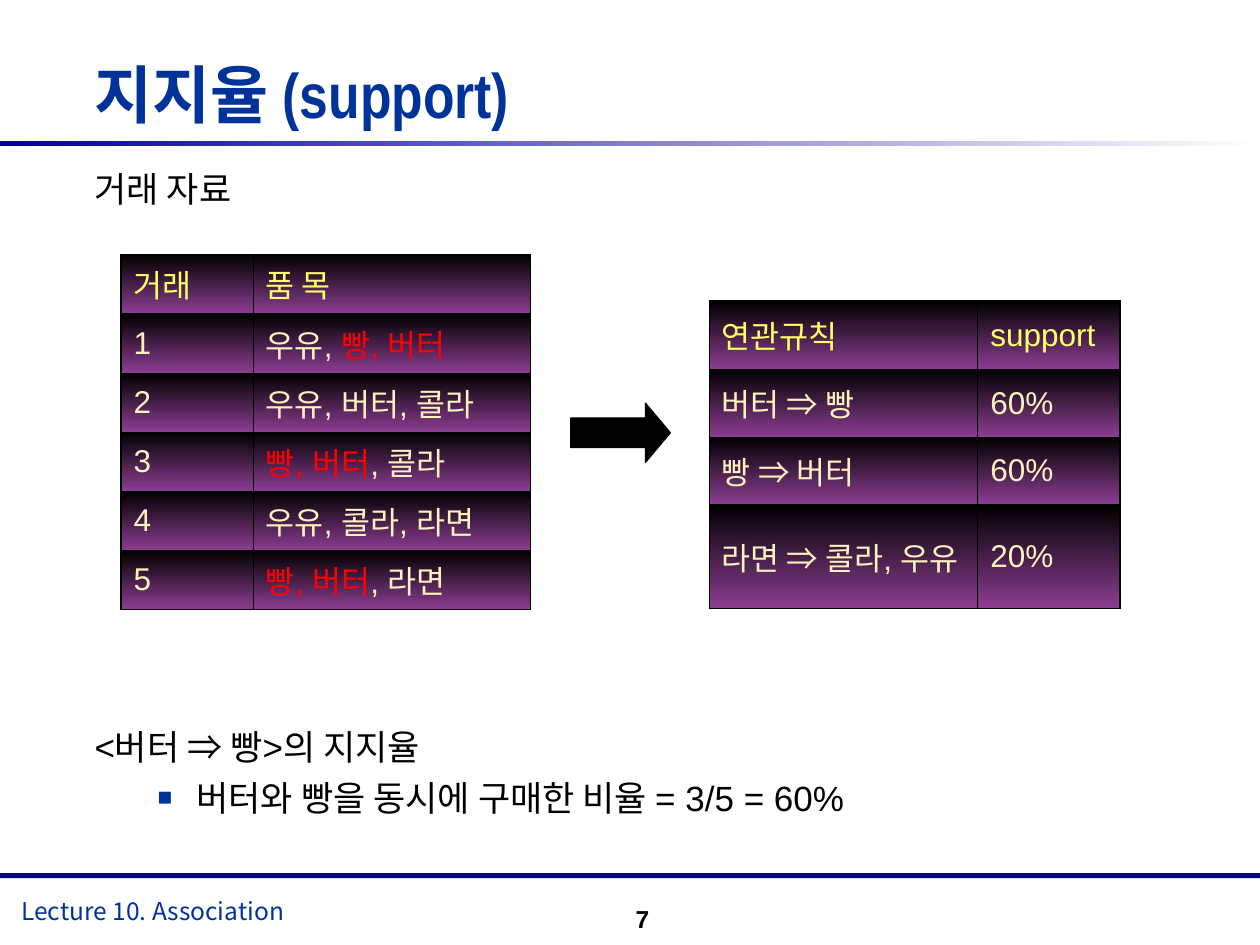
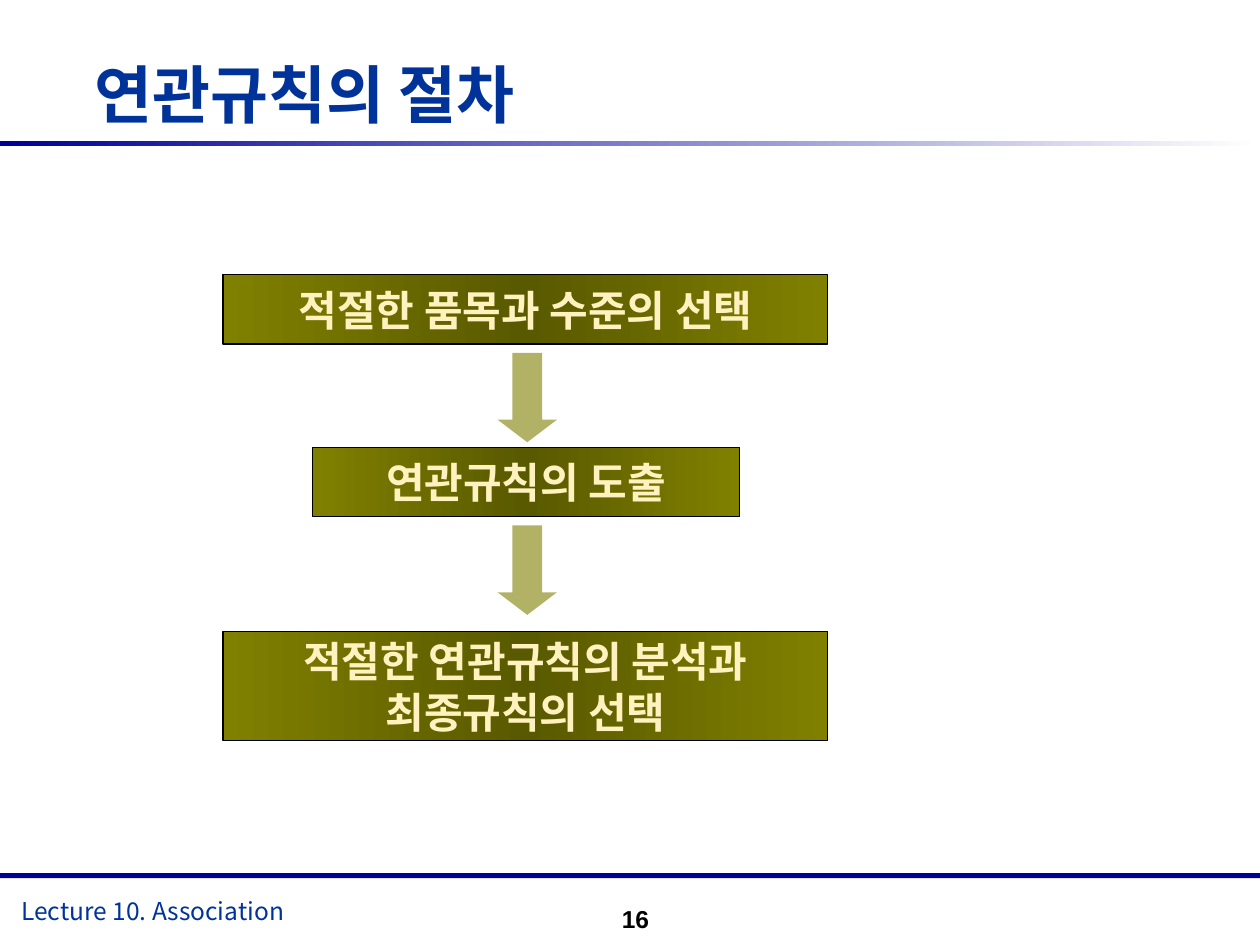
from copy import deepcopy
from typing import NamedTuple

from lxml import etree
from pptx import Presentation
from pptx import util as u
from pptx.dml import color
from pptx.enum import shapes, text
from pptx.oxml import ns

NAVY, BLUE, BLACK, WHITE = "000099", "003399", "000000", "FFFFFF"
CREAM, LEMON, RED = "FFF2BE", "FFFF66", "FF0000"
PLUM, OLIVE, MOSS = "8C3D91", "808000", "595900"
SANS, SLIM, NOTO = "Arial", "Arial Narrow", "Noto Sans CJK KR"
PAIR = "빵, 버터"
KIND = shapes.MSO_SHAPE
ALIGN = text.PP_ALIGN
MID = text.MSO_ANCHOR.MIDDLE


class Rect(NamedTuple):
    x: float
    y: float
    w: float
    h: float

    def emu(self) -> list:
        return [u.Inches(v) for v in self]


class Font(NamedTuple):
    size: float
    name: str
    hue: str
    bold: bool = False


class Grid(NamedTuple):
    rect: Rect
    cols: list
    rows: list
    data: list


class Step(NamedTuple):
    rect: Rect
    words: str


HEAD = Font(36, SLIM, BLUE, True)
FOOT = Font(14, NOTO, BLUE)
PAGE = Font(14, SANS, BLACK, True)
BODY = Font(20, SANS, BLACK)
CELL = Font(18, SANS, CREAM)
STEP = Font(24, NOTO, CREAM, True)

SALES = Grid(
    Rect(0.96, 2.02, 3.25, 2.82), [1.05, 2.2], [0.47] * 6,
    [("거래", "품 목"), ("1", "우유, 빵, 버터"), ("2", "우유, 버터, 콜라"),
     ("3", "빵, 버터, 콜라"), ("4", "우유, 콜라, 라면"), ("5", "빵, 버터, 라면")])
RULES = Grid(
    Rect(5.63, 2.39, 3.26, 2.44), [2.13, 1.13], [0.54, 0.54, 0.53, 0.83],
    [("연관규칙", "support"), ("버터 ⇒ 빵", "60%"),
     ("빵 ⇒ 버터", "60%"), ("라면 ⇒ 콜라, 우유", "20%")])
STEPS = [
    Step(Rect(1.77, 2.18, 4.8, 0.55), "적절한 품목과 수준의 선택"),
    Step(Rect(2.48, 3.55, 3.39, 0.55), "연관규칙의 도출"),
    Step(Rect(1.77, 5.01, 4.8, 0.87), "적절한 연관규칙의 분석과\n최종규칙의 선택"),
]


def rgb(hue: str) -> color.RGBColor:
    return color.RGBColor.from_string(hue)


def style(font, look: Font) -> None:
    font.size, font.name, font.bold = u.Pt(look.size), look.name, look.bold
    font.color.rgb = rgb(look.hue)


def write(frame, words: str, look: Font, align=ALIGN.LEFT) -> None:
    frame.text = words
    for para in frame.paragraphs:
        para.alignment = align
        for run in para.runs:
            style(run.font, look)


def pad(frame, side: float, top: float) -> None:
    frame.margin_left = frame.margin_right = u.Inches(side)
    frame.margin_top = frame.margin_bottom = u.Inches(top)


def label(slide, rect: Rect, words: str, look: Font, align=ALIGN.LEFT):
    frame = slide.shapes.add_textbox(*rect.emu()).text_frame
    frame.word_wrap = True
    write(frame, words, look, align)
    return frame


def blend(fill, hues: list, angle: int) -> None:
    fill.gradient()
    fill.gradient_angle = angle
    first = fill.gradient_stops[0]._element
    for _ in hues[2:]:
        first.addnext(deepcopy(first))
    for i, (stop, hue) in enumerate(zip(fill.gradient_stops, hues)):
        stop.color.rgb = rgb(hue)
        stop.position = i / (len(hues) - 1)


def form(slide, kind, rect: Rect, hues: list, edge: str = ""):
    shape = slide.shapes.add_shape(kind, *rect.emu())
    shape.shadow.inherit = False
    if len(hues) > 1:
        blend(shape.fill, hues, 0)
    else:
        shape.fill.solid()
        shape.fill.fore_color.rgb = rgb(hues[0])
    if edge:
        shape.line.color.rgb = rgb(edge)
        shape.line.width = u.Pt(0.75)
    else:
        shape.line.fill.background()
    return shape


def border(cell, sides: dict) -> None:
    props = cell._tc.get_or_add_tcPr()
    for side, width in sides.items():
        line = etree.SubElement(props, ns.qn(f"a:ln{side}"), w=str(u.Pt(width)))
        solid = etree.SubElement(line, ns.qn("a:solidFill"))
        etree.SubElement(solid, ns.qn("a:srgbClr"), val=BLACK)


def table(slide, grid: Grid) -> None:
    high, wide = len(grid.rows), len(grid.cols)
    tab = slide.shapes.add_table(high, wide, *grid.rect.emu()).table
    tab.first_row = tab.horz_banding = False
    for col, width in zip(tab.columns, grid.cols):
        col.width = u.Inches(width)
    for row, height in zip(tab.rows, grid.rows):
        row.height = u.Inches(height)
    for r, line in enumerate(grid.data):
        for c, words in enumerate(line):
            cell = tab.cell(r, c)
            cell.vertical_anchor = MID
            outer = {"L": c == 0, "R": c == wide - 1, "T": r == 0, "B": r == high - 1}
            border(cell, {s: 1.08 if out else 0.45 for s, out in outer.items()})
            blend(cell.fill, [BLACK, PLUM], 270)
            para = cell.text_frame.paragraphs[0]
            for part in filter(None, words.partition(PAIR)):
                run = para.add_run()
                run.text = part
                hue = LEMON if r == 0 else RED if part == PAIR else CREAM
                style(run.font, CELL._replace(hue=hue))


def bullet(para) -> None:
    para.level = 1
    props = para._p.get_or_add_pPr()
    props.set("marL", str(u.Inches(0.81)))
    props.set("indent", str(u.Inches(-0.31)))
    tint = etree.SubElement(props, ns.qn("a:buClr"))
    etree.SubElement(tint, ns.qn("a:srgbClr"), val=BLUE)
    etree.SubElement(props, ns.qn("a:buSzPct"), val="70000")
    etree.SubElement(props, ns.qn("a:buFont"), typeface=SANS)
    etree.SubElement(props, ns.qn("a:buChar"), char="■")


def start(deck, title: str, page: int):
    slide = deck.slides.add_slide(deck.slide_layouts[5])
    form(slide, KIND.RECTANGLE, Rect(0, 1.12, 10, 0.04), [NAVY, WHITE])
    form(slide, KIND.RECTANGLE, Rect(0, 6.93, 10, 0.04), [NAVY])
    label(slide, Rect(0.07, 7.06, 3.33, 0.34), "Lecture 10. Association", FOOT)
    num = label(slide, Rect(4.67, 7.08, 0.58, 0.42), str(page), PAGE, ALIGN.RIGHT)
    num.vertical_anchor = MID
    head = slide.shapes.title
    head.left, head.top, head.width, head.height = Rect(0.75, 0.5, 9.25, 0.75).emu()
    frame = head.text_frame
    pad(frame, 0, 0)
    frame.vertical_anchor = text.MSO_ANCHOR.TOP
    frame.auto_size = text.MSO_AUTO_SIZE.NONE
    write(frame, title, HEAD)
    frame.paragraphs[0].line_spacing = u.Pt(39)
    return slide


def support(deck) -> None:
    slide = start(deck, "지지율 (support)", 7)
    top = label(slide, Rect(0.75, 1.33, 8.58, 0.4), "거래 자료", BODY)
    pad(top, 0, 0)
    note = label(slide, Rect(0.75, 5.76, 8.58, 0.9),
                 "<버터 ⇒ 빵>의 지지율\n버터와 빵을 동시에 구매한 비율 = 3/5 = 60%", BODY)
    pad(note, 0, 0)
    bullet(note.paragraphs[1])
    note.paragraphs[1].space_before = u.Pt(5)
    table(slide, SALES)
    table(slide, RULES)
    arrow = form(slide, KIND.RIGHT_ARROW, Rect(4.53, 3.2, 0.79, 0.47), [BLACK], BLACK)
    arrow.adjustments[1] = 0.42


def steps(deck) -> None:
    slide = start(deck, "연관규칙의 절차", 16)
    for step in STEPS:
        box = form(slide, KIND.RECTANGLE, step.rect, [OLIVE, MOSS, OLIVE], BLACK)
        frame = box.text_frame
        frame.word_wrap = False
        frame.vertical_anchor = MID
        write(frame, step.words, STEP, ALIGN.CENTER)
    for step in STEPS[:-1]:
        low = step.rect.y + step.rect.h
        arrow = form(slide, KIND.DOWN_ARROW, Rect(3.95, low + 0.07, 0.47, 0.71), [OLIVE])
        arrow.adjustments[1] = 0.38
        tint = arrow.fill._xPr.find(".//" + ns.qn("a:srgbClr"))
        etree.SubElement(tint, ns.qn("a:alpha"), val="60000")


def main() -> None:
    deck = Presentation()
    deck.slide_width, deck.slide_height = u.Inches(10), u.Inches(7.5)
    support(deck)
    steps(deck)
    deck.save("out.pptx")


if __name__ == "__main__":
    main()
